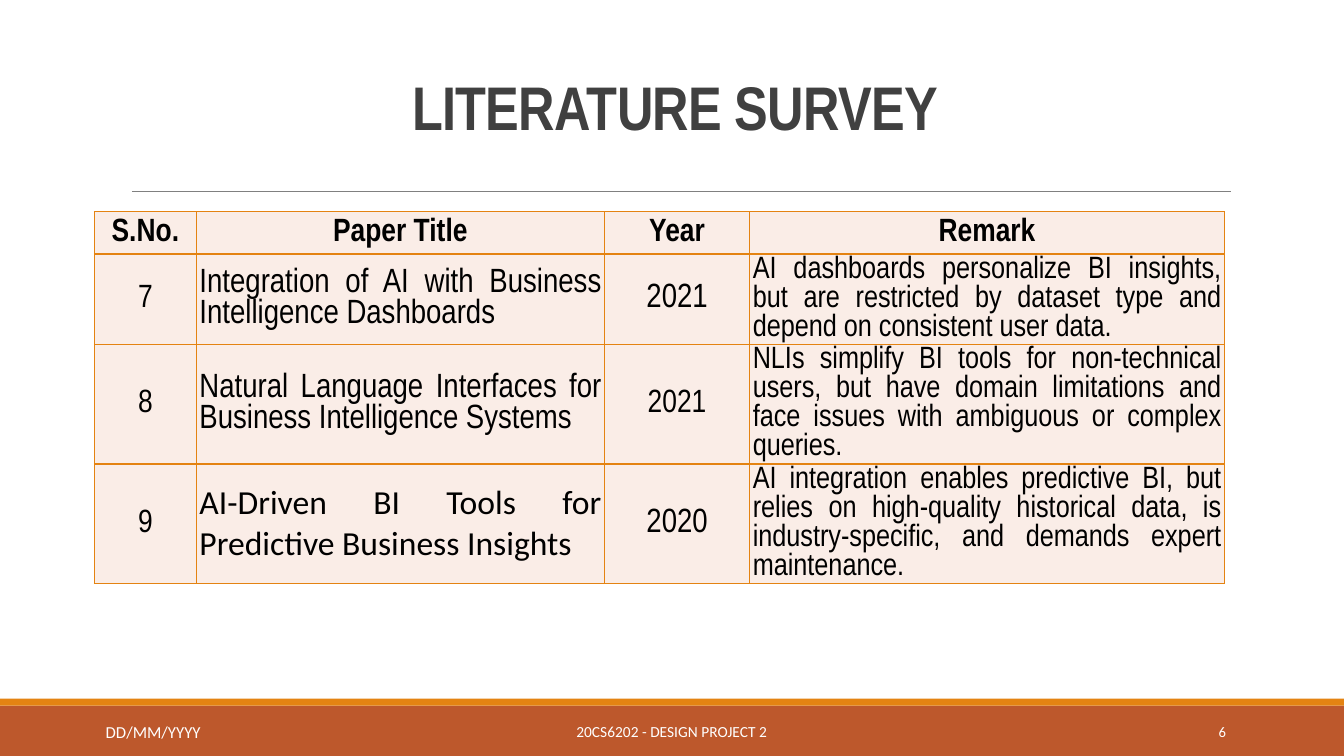
from dataclasses import dataclass

from lxml import etree
from pptx import Presentation
from pptx import util as u
from pptx.dml.color import RGBColor
from pptx.enum import shapes, text
from pptx.oxml import ns

LEFT, CENTER, RIGHT, JUSTIFY = (text.PP_ALIGN.LEFT, text.PP_ALIGN.CENTER,
                                text.PP_ALIGN.RIGHT, text.PP_ALIGN.JUSTIFY)


@dataclass(frozen=True)
class Theme:
    band: str = "BD582C"
    accent: str = "E48312"
    rule: str = "808080"
    cell: str = "FAEDE7"
    heading: str = "404040"
    ink: str = "000000"
    light: str = "FFFFFF"
    narrow: str = "Arial Narrow"
    sans: str = "Calibri"
    title_size: float = 44
    head_size: float = 23
    paper_size: float = 24
    remark_size: float = 22
    date_size: float = 12
    footer_size: float = 11
    number_size: float = 10.5


class Deck:
    def __init__(self, prs, theme):
        self.t = theme
        self.s = prs.slides.add_slide(prs.slide_layouts[6])

    def add_words(self, tf, words, size, font, color, align, bold=False):
        p = tf.paragraphs[0]
        p.alignment = align
        r = p.add_run()
        r.text = words
        r.font.size, r.font.name, r.font.bold = u.Pt(size), font, bold
        r.font.color.rgb = RGBColor.from_string(color)
        return p, r

    def bar(self, x, y, w, h, color):
        sp = self.s.shapes.add_shape(shapes.MSO_SHAPE.RECTANGLE,
                                     u.Pt(x), u.Pt(y), u.Pt(w), u.Pt(h))
        sp.shadow.inherit = False
        sp.fill.solid()
        sp.fill.fore_color.rgb = RGBColor.from_string(color)
        sp.line.fill.background()

    def rule(self, x1, x2, y, color, width):
        c = self.s.shapes.add_connector(shapes.MSO_CONNECTOR.STRAIGHT,
                                        u.Pt(x1), u.Pt(y), u.Pt(x2), u.Pt(y))
        c.line.color.rgb = RGBColor.from_string(color)
        c.line.width = u.Pt(width)
        etree.SubElement(c._element.spPr, ns.qn("a:effectLst"))

    def label(self, x, y, w, h, *style, **kw):
        """Add a one-line text box and return its paragraph and run."""
        tf = self.s.shapes.add_textbox(u.Pt(x), u.Pt(y), u.Pt(w), u.Pt(h)).text_frame
        tf.word_wrap = True
        tf.vertical_anchor = text.MSO_ANCHOR.MIDDLE
        return self.add_words(tf, *style, **kw)

    def title(self, x, y, w, h, words):
        p, r = self.label(x, y, w, h, words, self.t.title_size, self.t.narrow,
                          self.t.heading, CENTER, bold=True)
        p.line_spacing = 0.85
        r.font._element.set("spc", "-50")

    def border(self, cell, color, width):
        """Draw all four edges; they must precede the fill in the cell properties."""
        tcPr = cell._tc.get_or_add_tcPr()
        for i, edge in enumerate(("a:lnL", "a:lnR", "a:lnT", "a:lnB")):
            ln = etree.Element(ns.qn(edge), w=str(u.Pt(width)))
            fill = etree.SubElement(ln, ns.qn("a:solidFill"))
            etree.SubElement(fill, ns.qn("a:srgbClr"), val=color)
            tcPr.insert(i, ln)

    def table(self, x, y, widths, heights, rows, style):
        """Fill a table; style(i, j) gives size, font, alignment and boldness."""
        tbl = self.s.shapes.add_table(len(rows), len(widths), u.Pt(x), u.Pt(y),
                                      u.Pt(sum(widths)), u.Pt(sum(heights))).table
        for col, w in zip(tbl.columns, widths):
            col.width = u.Pt(w)
        for i, (row, h) in enumerate(zip(rows, heights)):
            tbl.rows[i].height = u.Pt(h)
            for j, words in enumerate(row):
                c = tbl.cell(i, j)
                c.margin_left = c.margin_right = u.Pt(2.2)
                c.margin_top = c.margin_bottom = u.Pt(1.4)
                c.vertical_anchor = text.MSO_ANCHOR.MIDDLE
                c.fill.solid()
                c.fill.fore_color.rgb = RGBColor.from_string(self.t.cell)
                self.border(c, self.t.accent, 1)
                size, font, align, bold = style(i, j)
                self.add_words(c.text_frame, words, size, font, self.t.ink, align, bold)


PAPERS = [
    ("S.No.", "Paper Title", "Year", "Remark"),
    ("7", "Integration of AI with Business Intelligence Dashboards", "2021",
     "AI dashboards personalize BI insights, but are restricted by dataset type "
     "and depend on consistent user data."),
    ("8", "Natural Language Interfaces for Business Intelligence Systems", "2021",
     "NLIs simplify BI tools for non-technical users, but have domain limitations "
     "and face issues with ambiguous or complex queries."),
    ("9", "AI-Driven BI Tools for Predictive Business Insights", "2020",
     "AI integration enables predictive BI, but relies on high-quality historical "
     "data, is industry-specific, and demands expert maintenance."),
]


def main():
    prs = Presentation()
    prs.slide_width, prs.slide_height = u.Pt(960), u.Pt(540)
    t = Theme()
    d = Deck(prs, t)

    def paper_style(i, j):
        if i == 0:
            return t.head_size, t.narrow, CENTER, True
        if j == 1:
            return t.paper_size, t.sans if i == 3 else t.narrow, JUSTIFY, False
        if j == 3:
            return t.remark_size, t.narrow, JUSTIFY, False
        # Years in the first and last papers match the paper title size
        size = t.paper_size if j == 2 and i in (1, 3) else t.head_size
        return size, t.narrow, CENTER, False

    d.bar(0, 504, 960, 36, t.band)
    d.bar(0, 499, 960, 5, t.accent)
    d.rule(94.3, 879, 136.6, t.rule, 0.5)
    d.table(67.5, 151.2, (72.8, 291.5, 103.8, 339), (30.2, 64.5, 85, 85),
            PAPERS, paper_style)
    d.title(86.4, 22.3, 792, 114.5, "LITERATURE SURVEY")
    d.label(290.2, 508.3, 379.4, 28.8, "20CS6202 - DESIGN PROJECT 2",
            t.footer_size, t.sans, t.light, CENTER)
    d.label(779.8, 508.3, 103, 28.8, "6", t.number_size, t.sans, t.light, RIGHT)
    d.label(68.4, 512, 186.5, 21.6, "DD/MM/YYYY", t.date_size, t.sans, t.light, LEFT)
    prs.save("out.pptx")


if __name__ == "__main__":
    main()
